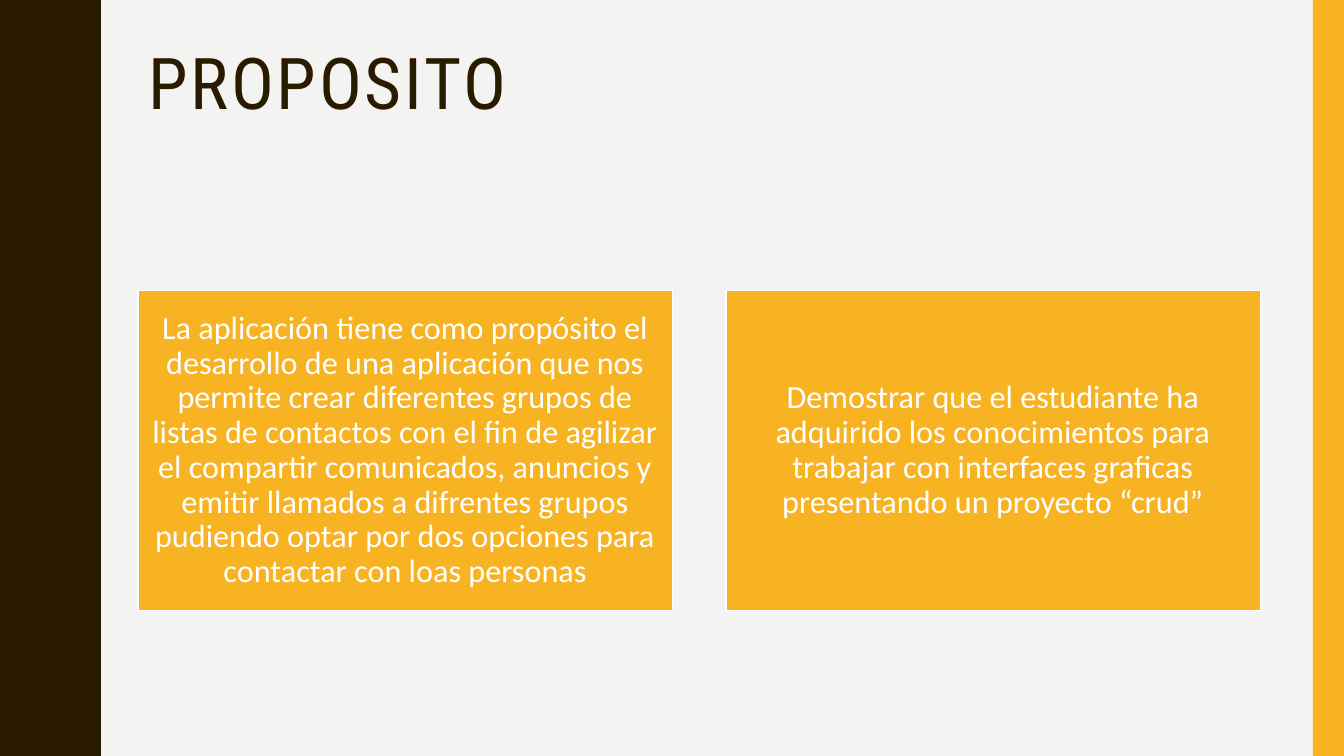
from pptx import Presentation
from pptx.dml.color import RGBColor
from pptx.enum.shapes import MSO_SHAPE
from pptx.enum.text import MSO_ANCHOR, PP_ALIGN
from pptx.util import Inches, Pt

COLORS = {"paper": "F3F3F2", "dark": "2A1A00", "accent": "F8B323", "white": "FFFFFF"}
WIDTH, HEIGHT = 13.33, 7.5
LEFT, CONTENT_WIDTH = 1.37, 11.13
CARD_TOP, CARD_WIDTH, CARD_HEIGHT = 2.88, 5.3, 3.18

WAVES = 5
# Rising half of one wave: (drop, bulge) from trough to crest
HALF_WAVE = [
    (0, 0), (0.07, 0), (0.14, 0.01), (0.2, 0.02), (0.25, 0.03), (0.29, 0.05),
    (0.33, 0.07), (0.38, 0.09), (0.42, 0.11), (0.46, 0.13), (0.5, 0.15),
    (0.55, 0.17), (0.61, 0.18), (0.68, 0.19), (0.75, 0.19),
]

PURPOSES = [
    "La aplicación tiene como propósito el desarrollo de una aplicación que nos "
    "permite crear diferentes grupos de listas de contactos con el fin de agilizar "
    "el compartir comunicados, anuncios y emitir llamados a difrentes grupos "
    "pudiendo optar por dos opciones para contactar con loas personas",
    "Demostrar que el estudiante ha adquirido los conocimientos para trabajar con "
    "interfaces graficas presentando un proyecto “crud”",
]


def color(name):
    return RGBColor.from_string(COLORS[name])


def place(shape, left, top, width, height):
    shape.left, shape.top = Inches(left), Inches(top)
    shape.width, shape.height = Inches(width), Inches(height)


def paint(shape, fill, line=None):
    """Fill a shape flat, with a 1 pt line or none."""
    shape.shadow.inherit = False
    shape.fill.solid()
    shape.fill.fore_color.rgb = color(fill)
    if line:
        shape.line.color.rgb = color(line)
        shape.line.width = Pt(1)
    else:
        shape.line.fill.background()


def add_box(page, left, top, width, height, fill, line=None):
    box = page.shapes.add_shape(MSO_SHAPE.RECTANGLE, 0, 0, 0, 0)
    place(box, left, top, width, height)
    paint(box, fill, line)
    return box


def add_wavy_band(page, trough, height):
    """Dark band from the left edge whose right side waves down the slide."""
    period = height / WAVES
    falling = [(period - drop, bulge) for drop, bulge in reversed(HALF_WAVE[1:-1])]
    edge = [
        (trough + bulge, wave * period + drop)
        for wave in range(WAVES)
        for drop, bulge in HALF_WAVE + falling
    ]
    outline = page.shapes.build_freeform(0, 0, scale=Inches(1))
    outline.add_line_segments(edge + [(trough, height), (0, height)], close=True)
    paint(outline.convert_to_shape(), "dark")


def add_title(page, text, left, top, width, height):
    title = page.shapes.title
    place(title, left, top, width, height)
    frame = title.text_frame
    frame.text = text
    frame.word_wrap = True
    frame.vertical_anchor = MSO_ANCHOR.TOP
    para = frame.paragraphs[0]
    para.alignment = PP_ALIGN.LEFT
    para.line_spacing = 0.9
    para.font.name = "Roboto Condensed"
    para.font.size = Pt(51)
    para.font.color.rgb = color("dark")
    para.runs[0].font._element.set("spc", "200")


def add_card(page, text, left, top, width, height):
    card = add_box(page, left, top, width, height, "accent", "white")
    frame = card.text_frame
    frame.text = text
    frame.word_wrap = True
    frame.vertical_anchor = MSO_ANCHOR.MIDDLE
    frame.margin_left = frame.margin_right = Inches(0.1)
    frame.margin_top = frame.margin_bottom = Inches(0.1)
    para = frame.paragraphs[0]
    para.alignment = PP_ALIGN.CENTER
    para.line_spacing = 0.9
    para.font.name = "Calibri"
    para.font.size = Pt(23)
    para.font.color.rgb = color("white")


def add_cards(page, texts, left, top, width):
    """Spread equal cards over the given width."""
    step = (width - CARD_WIDTH) / (len(texts) - 1)
    for column, text in enumerate(texts):
        add_card(page, text, left + column * step, top, CARD_WIDTH, CARD_HEIGHT)


def main():
    deck = Presentation()
    deck.slide_width, deck.slide_height = Inches(WIDTH), Inches(HEIGHT)
    page = deck.slides.add_slide(deck.slide_layouts[5])
    page.background.fill.solid()
    page.background.fill.fore_color.rgb = color("paper")

    add_wavy_band(page, 0.78, HEIGHT)
    add_box(page, WIDTH - 0.31, 0, 0.31, HEIGHT, "accent")
    add_title(page, "PROPOSITO", LEFT, 0.42, CONTENT_WIDTH, 1.63)
    add_cards(page, PURPOSES, LEFT, CARD_TOP, CONTENT_WIDTH)
    deck.save("out.pptx")


if __name__ == "__main__":
    main()
